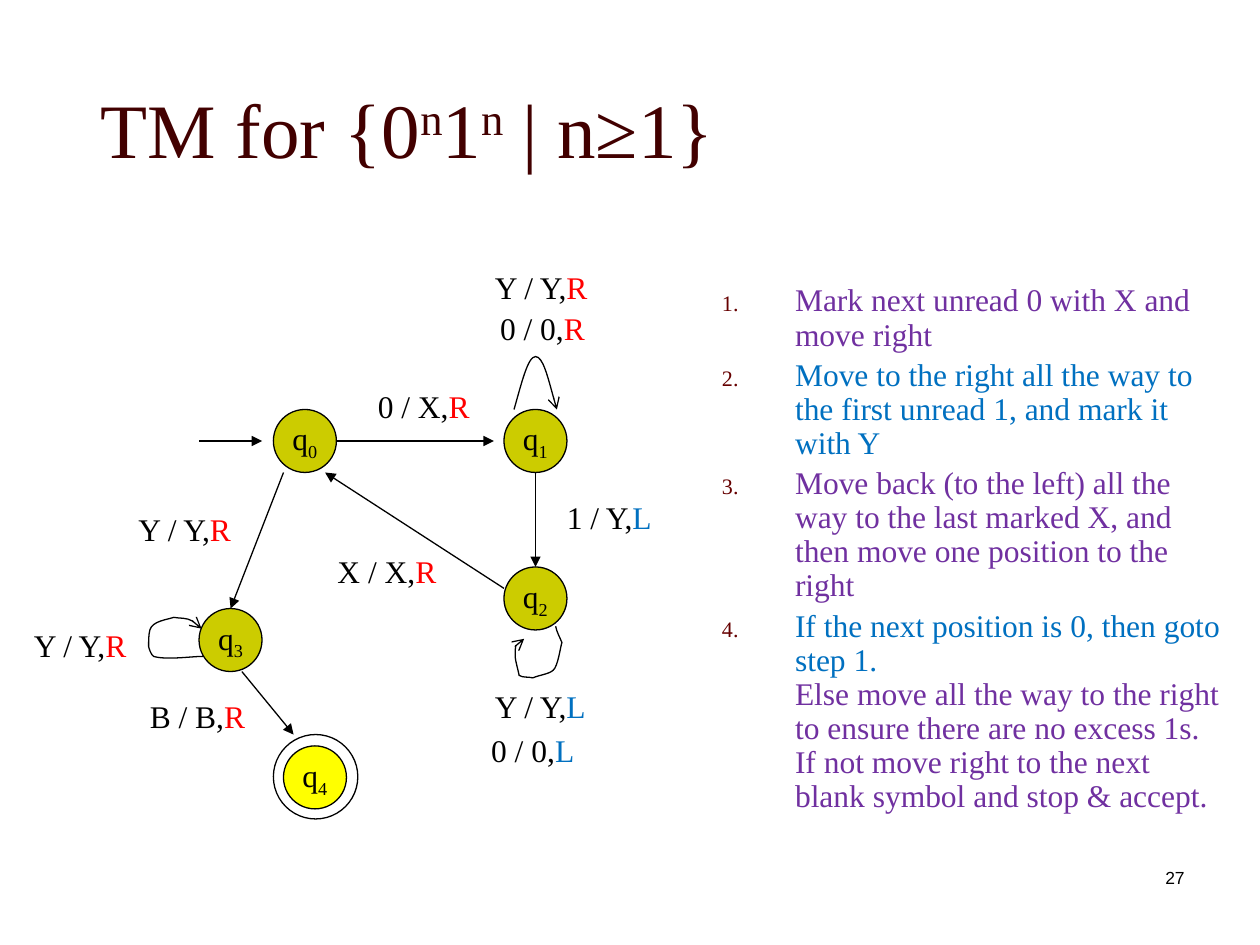
from dataclasses import dataclass

from lxml import etree
from pptx import Presentation
from pptx import util as u
from pptx.dml.color import RGBColor
from pptx.enum import shapes, text
from pptx.oxml.ns import qn


@dataclass(frozen=True)
class Theme:
    serif: str = "Times New Roman"
    sans: str = "Arial"
    black: str = "000000"
    title: str = "420000"
    number: str = "660000"
    purple: str = "7030A0"
    blue: str = "0070C0"
    red: str = "FF0000"
    state: str = "CCCC00"
    final: str = "FFFF00"
    title_size: int = 44
    text_size: int = 18
    page_size: int = 10
    line_width: float = 0.75


class Diagram:
    """Draws styled elements on the current slide."""

    def __init__(self, prs, theme):
        self.t = theme
        self.s = prs.slides.add_slide(prs.slide_layouts[1])

    def font(self, r, color, size=None, name=None, baseline=0):
        r.font.name = name or self.t.serif
        r.font.size = u.Pt(size or self.t.text_size)
        r.font.color.rgb = RGBColor.from_string(color)
        if baseline:
            r._r.get_or_add_rPr().set("baseline", str(baseline * 1000))

    def run(self, p, words, color, **style):
        r = p.add_run()
        r.text = words
        self.font(r, color, **style)

    def place(self, sp, x, y, w, h):
        sp.left, sp.top, sp.width, sp.height = map(u.Inches, (x, y, w, h))

    def outline(self, sp, arrow=None):
        sp.line.color.rgb = RGBColor.from_string(self.t.black)
        sp.line.width = u.Pt(self.t.line_width)
        if arrow:
            etree.SubElement(sp.line._get_or_add_ln(), qn("a:tailEnd"), type=arrow)

    def title(self, parts, *box):
        sp = self.s.shapes.title
        self.place(sp, *box)
        tf = sp.text_frame
        tf.auto_size = text.MSO_AUTO_SIZE.NONE
        tf.vertical_anchor = text.MSO_ANCHOR.BOTTOM
        p = tf.paragraphs[0]
        p.alignment = text.PP_ALIGN.LEFT
        for words, baseline in parts:
            self.run(p, words, self.t.title, size=self.t.title_size, baseline=baseline)

    def steps(self, items, *box):
        sp = self.s.placeholders[1]
        self.place(sp, *box)
        tf = sp.text_frame
        tf.auto_size = text.MSO_AUTO_SIZE.NONE
        tf.text = "\n".join(words for words, _ in items)
        for p, (_, colors) in zip(tf.paragraphs, items):
            p.line_spacing = 0.9
            p.space_before = u.Pt(0.2 * self.t.text_size)
            for r, color in zip(p.runs, colors):
                self.font(r, color)
            for br in p._p.findall(qn("a:br")):
                etree.SubElement(br, qn("a:rPr"), sz=str(self.t.text_size * 100))
            self.numbering(p)

    def numbering(self, p):
        pPr = p._p.get_or_add_pPr()
        indent = u.Inches(0.58)
        pPr.set("marL", str(indent))
        pPr.set("indent", str(-indent))
        color = etree.SubElement(pPr, qn("a:buClr"))
        etree.SubElement(color, qn("a:srgbClr"), val=self.t.number)
        etree.SubElement(pPr, qn("a:buSzPct"), val="70000")
        etree.SubElement(pPr, qn("a:buFont"), typeface=self.t.serif)
        etree.SubElement(pPr, qn("a:buAutoNum"), type="arabicPeriod")

    def page_number(self, words, *box):
        sp = self.s.shapes.add_textbox(*map(u.Inches, box))
        sp.text_frame.word_wrap = True
        p = sp.text_frame.paragraphs[0]
        p.text = words
        p.alignment = text.PP_ALIGN.RIGHT
        self.font(p.runs[0], self.t.black, self.t.page_size, self.t.sans)

    def circle(self, x, y, size, fill=None):
        sp = self.s.shapes.add_shape(shapes.MSO_SHAPE.OVAL, *map(u.Inches, (x, y, size, size)))
        sp.shadow.inherit = False
        if fill:
            sp.fill.solid()
            sp.fill.fore_color.rgb = RGBColor.from_string(fill)
        else:
            sp.fill.background()
        self.outline(sp)
        return sp

    def state(self, index, x, y, fill):
        tf = self.circle(x, y, 0.5, fill).text_frame
        tf.word_wrap = False
        tf.vertical_anchor = text.MSO_ANCHOR.MIDDLE
        p = tf.paragraphs[0]
        p.alignment = text.PP_ALIGN.CENTER
        self.run(p, "q", self.t.black)
        self.run(p, str(index), self.t.black, baseline=-25)

    def label(self, symbols, move, x, y, w):
        sp = self.s.shapes.add_textbox(*map(u.Inches, (x, y, w, 0.43)))
        tf = sp.text_frame
        tf.word_wrap = False
        tf.auto_size = text.MSO_AUTO_SIZE.SHAPE_TO_FIT_TEXT
        p = tf.paragraphs[0]
        self.run(p, symbols + ",", self.t.black)
        self.run(p, move, self.t.red if move == "R" else self.t.blue)

    def arrow(self, *ends):
        sp = self.s.shapes.add_connector(shapes.MSO_CONNECTOR.STRAIGHT, *map(u.Inches, ends))
        self.outline(sp, "triangle")
        etree.SubElement(sp._element.spPr, qn("a:effectLst"))

    def loop(self, *points):
        """Draws cubic curves from a start point and triples of control points."""
        start, *controls = [(u.Inches(x), u.Inches(y)) for x, y in points]
        builder = self.s.shapes.build_freeform(*start)
        builder.add_line_segments(controls, close=False)
        sp = builder.convert_to_shape()
        sp.shadow.inherit = False
        sp.fill.background()
        self.outline(sp, "arrow")
        lines = list(sp._element.iter(qn("a:lnTo")))
        for i in range(0, len(lines), 3):
            curve = etree.Element(qn("a:cubicBezTo"))
            lines[i].addprevious(curve)
            for line in lines[i:i + 3]:
                curve.append(line[0])
                line.getparent().remove(line)


def main():
    prs = Presentation()
    prs.slide_width, prs.slide_height = u.Inches(10), u.Inches(7.5)
    t = Theme()
    d = Diagram(prs, t)

    d.title([("TM for {0", 0), ("n", 30), ("1", 0), ("n", 30), (" | n≥1}", 0)],
            0.7, 0.18, 8.52, 1.25)
    d.steps([
        ("Mark next unread 0 with X and move right", [t.purple]),
        ("Move to the right all the way to the first unread 1, and mark it with Y", [t.blue]),
        ("Move back (to the left) all the way to the last marked X, "
         "and then move one position to the right", [t.purple]),
        ("If the next position is 0, then goto step 1.\v"
         "Else move all the way to the right to ensure there are no excess 1s. "
         "If not move right to the next blank symbol and stop & accept.", [t.blue, t.purple]),
    ], 5.63, 2.21, 4.17, 4.5)
    d.page_number("27", 7.42, 6.83, 2.08, 0.5)

    states = [(2.17, 3.25), (4, 3.25), (4, 4.5), (1.58, 4.83), (2.25, 5.92)]
    for i, (x, y) in enumerate(states):
        d.state(i, x, y, t.final if i == 4 else t.state)
    d.circle(2.17, 5.83, 0.67)

    for ends in [(1.58, 3.5, 2.08, 3.5), (2.67, 3.5, 3.92, 3.5), (4.25, 3.75, 4.25, 4.5),
                 (4, 4.67, 2.58, 3.75), (2.25, 3.75, 1.83, 4.83), (1.92, 5.33, 2.33, 5.83)]:
        d.arrow(*ends)

    d.loop((4.08, 3.25), (4.14, 3.04), (4.19, 2.83), (4.25, 2.83),
           (4.31, 2.83), (4.36, 3.04), (4.42, 3.25))
    d.loop((4.41, 4.97), (4.42, 5.02), (4.44, 5.05), (4.46, 5.1),
           (4.45, 5.12), (4.43, 5.29), (4.39, 5.32), (4.36, 5.35), (4.27, 5.36), (4.23, 5.38),
           (4.19, 5.37), (4.15, 5.38), (4.12, 5.36), (4.12, 5.35), (4.09, 5.24), (4.09, 5.22),
           (4.09, 5.15), (4.08, 5.07), (4.16, 5.07))
    d.loop((1.61, 5.21), (1.52, 5.21), (1.32, 5.24), (1.22, 5.21),
           (1.2, 5.2), (1.18, 5.14), (1.18, 5.13), (1.18, 5.08), (1.18, 5.04), (1.19, 5),
           (1.21, 4.93), (1.32, 4.92), (1.38, 4.9), (1.43, 4.91), (1.48, 4.9), (1.53, 4.93),
           (1.54, 4.94), (1.54, 4.96), (1.56, 4.97), (1.57, 4.98), (1.6, 4.99), (1.6, 4.99))

    for label in [("Y / Y", "R", 3.83, 2.08, 1.04), ("0 / 0", "R", 3.87, 2.4, 1.02),
                  ("0 / X", "R", 2.9, 3.02, 1.05), ("1 / Y", "L", 4.4, 3.9, 1.01),
                  ("Y / Y", "L", 3.83, 5.4, 1.03), ("0 / 0", "L", 3.8, 5.75, 0.97),
                  ("X / X", "R", 2.58, 4.33, 1.08), ("Y / Y", "R", 1, 4, 1.08),
                  ("Y / Y", "R", 0.17, 4.92, 1.08), ("B / B", "R", 1.09, 5.48, 1.08)]:
        d.label(*label)

    prs.save("out.pptx")


if __name__ == "__main__":
    main()
